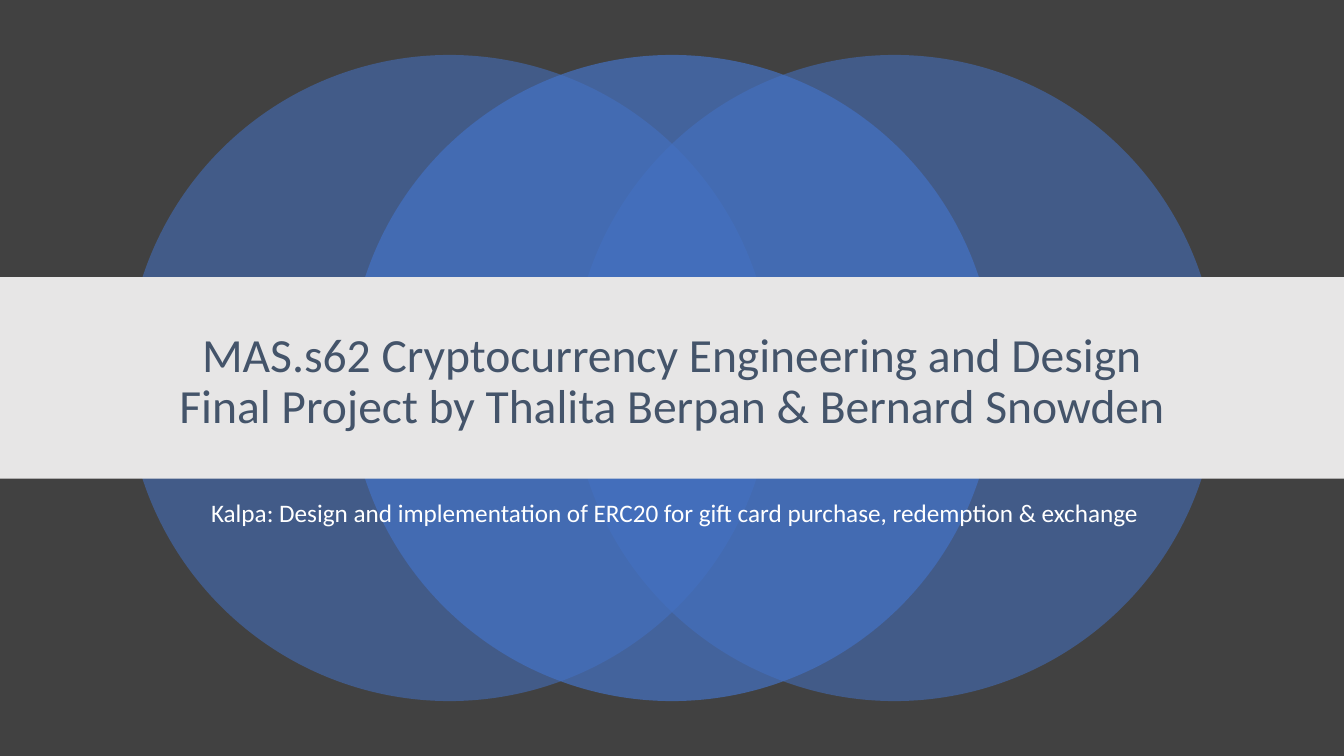
import pptx
import pptx.util
import pptx.dml.color
import pptx.enum.shapes
import pptx.enum.text
import pptx.oxml
import pptx.oxml.ns
from pptx.util import Pt

THEME = {
    "font": "Calibri",
    "background": "414141",
    "circle": "4472C4",
    "band": "E7E6E6",
    "title": "44546A",
    "subtitle": "FFFFFF",
    "title_size": 34,
    "subtitle_size": 18,
}
SLIDE_WIDTH, SLIDE_HEIGHT = 960, 540
SHAPES = pptx.enum.shapes.MSO_SHAPE
ANCHORS = pptx.enum.text.MSO_ANCHOR


def add_filled_shape(kind, left, top, width, height, color):
    shape = slide.shapes.add_shape(kind, Pt(left), Pt(top), Pt(width), Pt(height))
    shape.shadow.inherit = False
    shape.fill.solid()
    shape.fill.fore_color.rgb = pptx.dml.color.RGBColor.from_string(THEME[color])
    shape.line.fill.background()
    return shape


def add_centered_text(text, top, height, anchor, role):
    shape = slide.shapes.add_textbox(Pt(120), Pt(top), Pt(720), Pt(height))
    text_frame = shape.text_frame
    text_frame.word_wrap = True
    text_frame.vertical_anchor = anchor
    text_frame.text = text
    for paragraph in text_frame.paragraphs:
        paragraph.alignment = pptx.enum.text.PP_ALIGN.CENTER
        paragraph.line_spacing = 0.9
        for run in paragraph.runs:
            run.font.name = THEME["font"]
            run.font.size = Pt(THEME[role + "_size"])
            run.font.color.rgb = pptx.dml.color.RGBColor.from_string(THEME[role])
    return text_frame


presentation = pptx.Presentation()
presentation.slide_width = Pt(SLIDE_WIDTH)
presentation.slide_height = Pt(SLIDE_HEIGHT)
slide = presentation.slides.add_slide(presentation.slide_layouts[6])
slide.background.fill.solid()
slide.background.fill.fore_color.rgb = pptx.dml.color.RGBColor.from_string(THEME["background"])

diameter = 461.5
circle_top = (SLIDE_HEIGHT - diameter) / 2
for center_offset, opacity in [(-159, 55), (159, 55), (0, 70)]:
    circle_left = (SLIDE_WIDTH - diameter) / 2 + center_offset
    circle = add_filled_shape(SHAPES.OVAL, circle_left, circle_top, diameter, diameter, "circle")
    color_element = circle.fill._xPr.find(".//" + pptx.oxml.ns.qn("a:srgbClr"))
    alpha = pptx.oxml.parse_xml(
        f'<a:alpha {pptx.oxml.ns.nsdecls("a")} val="{opacity * 1000}"/>'
    )
    color_element.append(alpha)

add_filled_shape(SHAPES.RECTANGLE, 0, 198, SLIDE_WIDTH, 144, "band")

add_centered_text(
    "MAS.s62 Cryptocurrency Engineering and Design\n"
    "Final Project by Thalita Berpan & Bernard Snowden",
    219, 108.5, ANCHORS.MIDDLE, "title",
)
subtitle = add_centered_text(
    "Kalpa: Design and implementation of ERC20 for gift card purchase, redemption & exchange",
    354, 60, ANCHORS.TOP, "subtitle",
)
properties = subtitle.paragraphs[0]._p.get_or_add_pPr()
properties.set("marL", str(Pt(36)))
properties.set("indent", str(Pt(-32)))

presentation.save("out.pptx")
